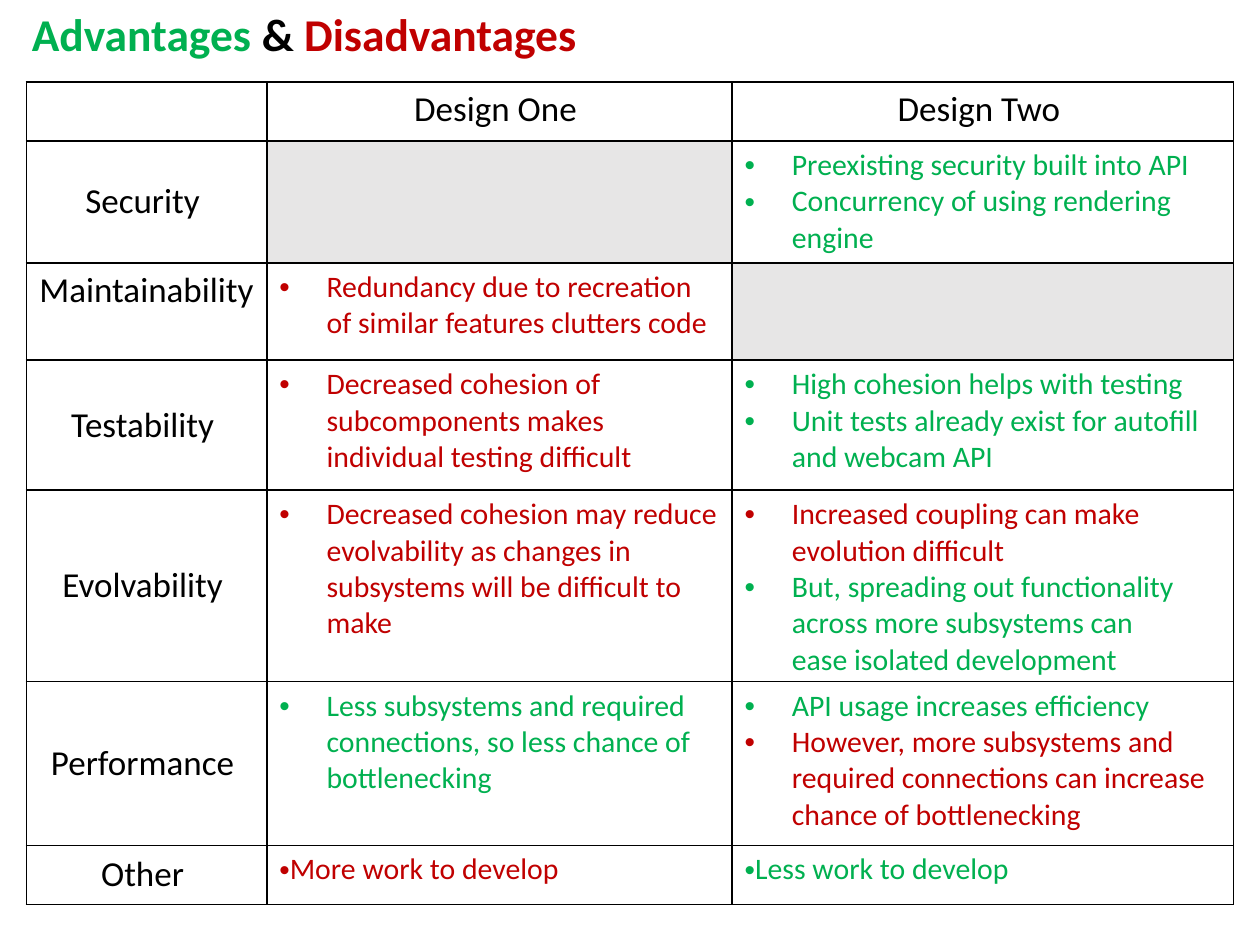
"""Build a slide comparing the advantages and disadvantages of two designs."""
from lxml.etree import SubElement
from pptx import Presentation
from pptx.dml.color import RGBColor
from pptx.enum.text import MSO_ANCHOR, PP_ALIGN
from pptx.oxml.ns import qn
from pptx.util import Cm, Pt

GREEN = RGBColor(0x00, 0xB0, 0x50)
RED = RGBColor(0xC0, 0x00, 0x00)
BLACK = RGBColor(0x00, 0x00, 0x00)
GREY = RGBColor(0xE7, 0xE6, 0xE6)

TITLE = [("Advantages ", GREEN), ("& ", BLACK), ("Disadvantages", RED)]
HEADERS = ["", "Design One\xa0", "Design Two\xa0"]
ROWS = [
    ("Security\xa0", [],
     [("Preexisting security built into API\xa0", GREEN),
      ("Concurrency of using rendering engine", GREEN)]),
    ("Maintainability\xa0",
     [("Redundancy due to recreation of similar features\xa0clutters\xa0code\xa0", RED)], []),
    ("Testability\xa0",
     [("Decreased cohesion of subcomponents makes individual testing difficult\xa0", RED)],
     [("High cohesion helps with testing", GREEN),
      ("Unit tests already exist for autofill and webcam API", GREEN)]),
    ("Evolvability\xa0",
     [("Decreased cohesion may reduce evolvability as changes in subsystems "
       "will be difficult to make\xa0", RED)],
     [("Increased coupling can make evolution difficult\xa0", RED),
      ("But, spreading out functionality across more subsystems can "
       "ease\xa0isolated development", GREEN)]),
    ("Performance\xa0",
     [("Less subsystems and required connections, so less chance of bottlenecking\xa0", GREEN)],
     [("API\xa0usage increases efficiency\xa0", GREEN),
      ("However, more\xa0subsystems\xa0and required connections can increase "
       "chance of bottlenecking\xa0", RED)]),
    ("Other\xa0", [("More work to develop", RED)], [("Less work to develop", GREEN)]),
]
COL_WIDTHS = [4.85, 9.38, 10.11]
ROW_HEIGHTS = [1.19, 2.46, 1.96, 2.62, 3.86, 3.3, 1.19]


def add_run(p, text, color, size, bold=False):
    r = p.add_run()
    r.text = text
    for name, value in {"name": "Calibri", "size": Pt(size), "bold": bold}.items():
        setattr(r.font, name, value)
    r.font.color.rgb = color


def add_label(cell, text):
    p = cell.text_frame.paragraphs[0]
    p.alignment = PP_ALIGN.CENTER
    if text:
        add_run(p, text, BLACK, 20)


def add_points(cell, points, margin, indent, level):
    tf = cell.text_frame
    for i, (text, color) in enumerate(points):
        p = tf.add_paragraph() if i else tf.paragraphs[0]
        p.level = level
        pPr = p._p.get_or_add_pPr()
        pPr.set("marL", str(Cm(margin)))
        pPr.set("indent", str(Cm(indent)))
        SubElement(pPr, qn("a:buFont"), typeface="Arial")
        SubElement(pPr, qn("a:buChar"), char="•")
        add_run(p, text, color, 17)


def add_borders(cell):
    tcPr = cell._tc.get_or_add_tcPr()
    for side in ("lnL", "lnR", "lnT", "lnB"):
        ln = SubElement(tcPr, qn(f"a:{side}"), w=str(Pt(1)))
        fill = SubElement(ln, qn("a:solidFill"))
        SubElement(fill, qn("a:srgbClr"), val=str(BLACK))


prs = Presentation()
prs.slide_width, prs.slide_height = Cm(25.4), Cm(19.05)
s = prs.slides.add_slide(prs.slide_layouts[6])

tf = s.shapes.add_textbox(Cm(0), Cm(0.2), Cm(12.27), Cm(1.09)).text_frame
tf.word_wrap = True
tf.vertical_anchor = MSO_ANCHOR.MIDDLE
p = tf.paragraphs[0]
p.alignment, p.line_spacing = PP_ALIGN.CENTER, 0.9
for text, color in TITLE:
    add_run(p, text, color, 26, True)

table = s.shapes.add_table(
    len(ROW_HEIGHTS), len(COL_WIDTHS), Cm(0.53), Cm(1.65),
    Cm(sum(COL_WIDTHS)), Cm(sum(ROW_HEIGHTS))).table
table.first_row = table.horz_banding = False
for col, width in zip(table.columns, COL_WIDTHS):
    col.width = Cm(width)
for row, height in zip(table.rows, ROW_HEIGHTS):
    row.height = Cm(height)
for cell in table.iter_cells():
    add_borders(cell)
    cell.fill.background()

for j, header in enumerate(HEADERS):
    add_label(table.cell(0, j), header)
for i, (label, *designs) in enumerate(ROWS, 1):
    add_label(table.cell(i, 0), label)
    table.cell(i, 0).vertical_anchor = MSO_ANCHOR.MIDDLE
    layout = (0, -0.79, 1) if i == len(ROWS) else (0.95, -0.95, 0)
    for j, points in enumerate(designs, 1):
        cell = table.cell(i, j)
        add_points(cell, points, *layout)
        if not points:
            cell.fill.solid()
            cell.fill.fore_color.rgb = GREY

prs.save("out.pptx")
